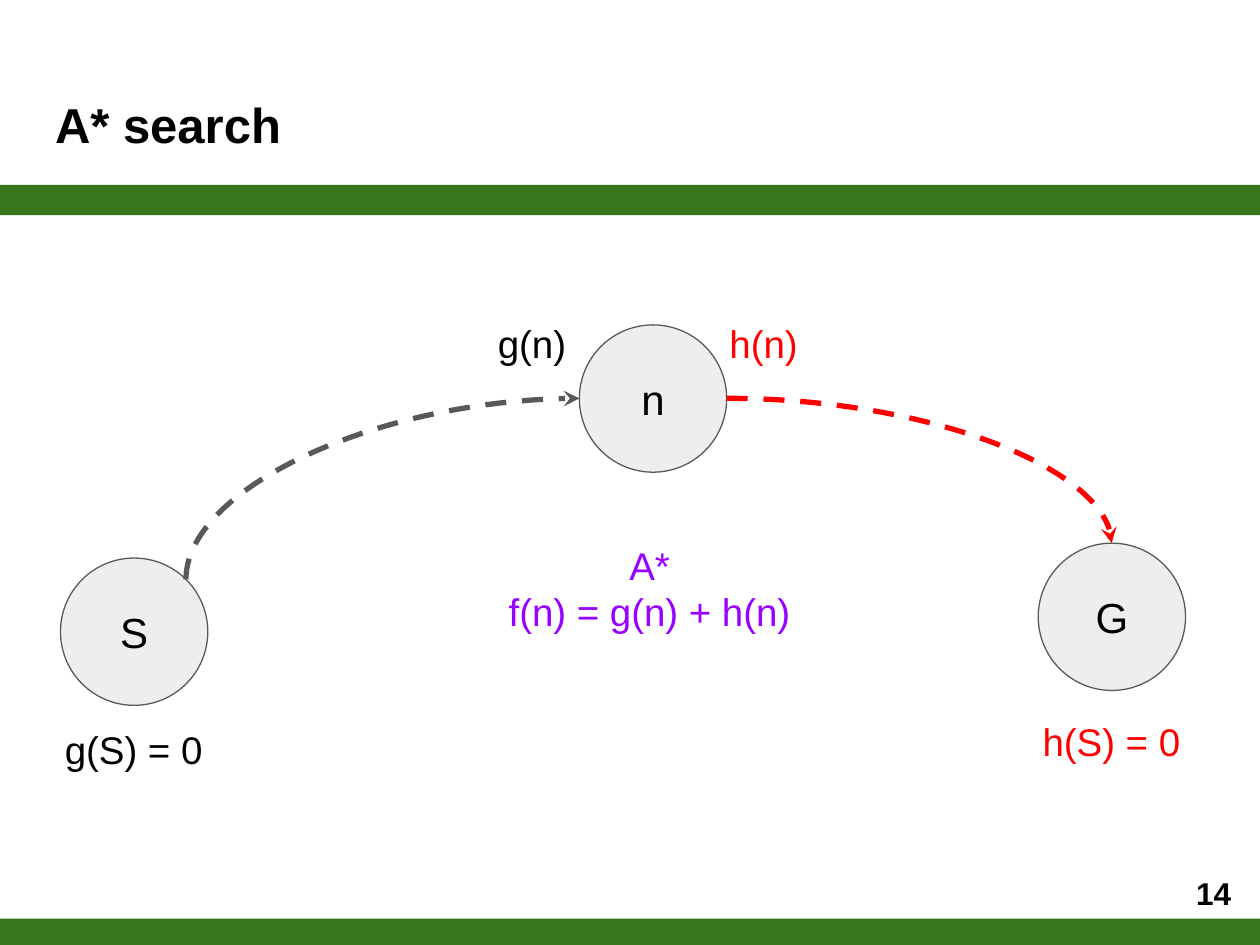
import pptx
import pptx.util
import pptx.dml.color
import pptx.enum.dml
import pptx.enum.shapes
import pptx.enum.text
import pptx.oxml
import pptx.oxml.ns
from lxml import etree

Cm = pptx.util.Cm
Pt = pptx.util.Pt
ALIGN = pptx.enum.text.PP_ALIGN
ANCHOR = pptx.enum.text.MSO_ANCHOR
SHAPE = pptx.enum.shapes.MSO_SHAPE
RGB = pptx.dml.color.RGBColor.from_string
qn = pptx.oxml.ns.qn

COLORS = {
    "bar": "38761D", "text": "000000", "node": "EEEEEE",
    "outline": "595959", "goal": "FF0000", "formula": "9900FF",
}


def write(shape, text, size, color="text", bold=False,
          align=ALIGN.CENTER, anchor=ANCHOR.TOP):
    frame = shape.text_frame
    frame.text = text
    frame.word_wrap = True
    frame.auto_size = pptx.enum.text.MSO_AUTO_SIZE.NONE
    frame.vertical_anchor = anchor
    frame.margin_left = frame.margin_right = Cm(0.25)
    frame.margin_top = frame.margin_bottom = Cm(0.25)
    for para in frame.paragraphs:
        para.alignment = align
        for span in para.runs:
            span.font.name = "Arial"
            span.font.size = Pt(size)
            span.font.bold = bold
            span.font.color.rgb = RGB(COLORS[color])


def add_arc(left, top, width, height, color, turn=0):
    """Quarter-curve arrow; the box is given before turning by turn degrees."""
    arc = page.shapes.add_connector(
        pptx.enum.shapes.MSO_CONNECTOR.CURVE,
        Cm(left), Cm(top), Cm(left + width), Cm(top + height))
    arc.line.color.rgb = RGB(COLORS[color])
    arc.line.width = Pt(3)
    arc.line.dash_style = pptx.enum.dml.MSO_LINE.DASH
    properties = arc._element.spPr
    properties.find(qn("a:prstGeom")).set("prst", "curvedConnector2")
    properties.find(qn("a:xfrm")).set("rot", str(turn * 60000))
    etree.SubElement(arc.line._get_or_add_ln(), qn("a:tailEnd"), type="stealth")
    etree.SubElement(properties, qn("a:effectLst"))


deck = pptx.Presentation()
deck.slide_width, deck.slide_height = Cm(25.4), Cm(19.05)
page = deck.slides.add_slide(deck.slide_layouts[5])

# Green bars
for top in (18.52, 3.73):
    bar = page.shapes.add_shape(SHAPE.RECTANGLE, 0, Cm(top), Cm(25.4), Cm(0.61))
    bar.shadow.inherit = False
    bar.fill.solid()
    bar.fill.fore_color.rgb = RGB(COLORS["bar"])
    bar.line.fill.background()

# Title and page number
title = page.shapes.title
title.left, title.top, title.width, title.height = Cm(0.86), Cm(1.65), Cm(23.67), Cm(2.11)
write(title, "A* search", 28, bold=True, align=ALIGN.LEFT)

number = page.shapes.add_textbox(Cm(23.55), Cm(17.27), Cm(1.52), Cm(1.45))
write(number, "14", 18, bold=True, align=ALIGN.RIGHT, anchor=ANCHOR.MIDDLE)

# Search nodes
for name, left, top in (("S", 1.22, 11.25), ("n", 11.68, 6.55), ("G", 20.93, 10.95)):
    node = page.shapes.add_shape(SHAPE.OVAL, Cm(left), Cm(top), Cm(2.97), Cm(2.97))
    node.shadow.inherit = False
    node.fill.solid()
    node.fill.fore_color.rgb = RGB(COLORS["node"])
    node.line.color.rgb = RGB(COLORS["outline"])
    node.line.width = Pt(0.75)
    write(node, name, 24, anchor=ANCHOR.MIDDLE)

# Paths S to n and n to G
add_arc(5.89, 5.89, 3.65, 7.93, "outline", turn=270)
add_arc(14.65, 8.03, 7.76, 2.92, "goal")

# Cost labels and formula
for text, left, top, width, height, color in (
    ("g(S) = 0", 0.89, 14.38, 3.61, 1.45, "text"),
    ("h(S) = 0", 20.6, 14.22, 3.61, 1.45, "goal"),
    ("g(n)", 8.92, 6.2, 3.61, 1.45, "text"),
    ("h(n)", 13.59, 6.2, 3.61, 1.45, "goal"),
    ("A*\nf(n) = g(n) + h(n)", 9.83, 10.67, 6.53, 2.54, "formula"),
):
    box = page.shapes.add_textbox(Cm(left), Cm(top), Cm(width), Cm(height))
    write(box, text, 22, color)

deck.save("out.pptx")
